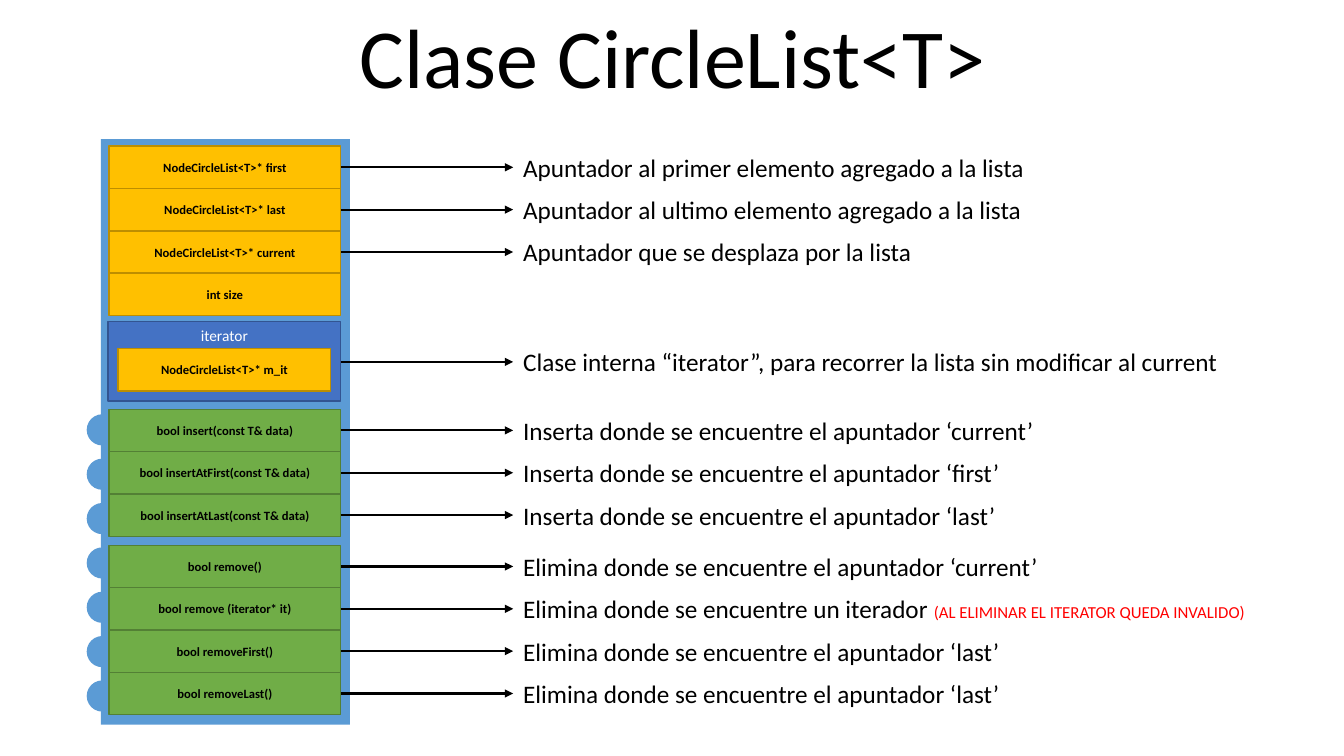
from lxml import etree
from pptx import Presentation
from pptx.dml.color import RGBColor
from pptx.enum.shapes import MSO_CONNECTOR, MSO_SHAPE
from pptx.enum.text import MSO_ANCHOR, PP_ALIGN
from pptx.oxml.ns import qn
from pptx.util import Inches, Pt

RECT, OVAL = MSO_SHAPE.RECTANGLE, MSO_SHAPE.OVAL
STRAIGHT = MSO_CONNECTOR.STRAIGHT
CENTER, LEFT, MIDDLE = PP_ALIGN.CENTER, PP_ALIGN.LEFT, MSO_ANCHOR.MIDDLE

# Content
TITLE = "Clase CircleList<T>"
FIELD, METHOD = ("FFC000", "BD8E00"), ("70AD47", "538035")
INNER_CLASS = ("4472C4", "325491")
PANEL, BLACK, WHITE, RED = "5B9BD5", "000000", "FFFFFF", "FF0000"

# Each block: top, colours, rows of (member, description, width of description, warning)
BLOCKS = [
    (1.45, FIELD, [
        ("NodeCircleList<T>* first", "Apuntador al primer elemento agregado a la lista", 5.23, ""),
        ("NodeCircleList<T>* last", "Apuntador al ultimo elemento agregado a la lista", 5.2, ""),
        ("NodeCircleList<T>* current", "Apuntador que se desplaza por la lista", 4.1, ""),
        ("int size", "", 0, ""),
    ]),
    (4.06, METHOD, [
        ("bool insert(const T& data)", "Inserta donde se encuentre el apuntador ‘current’", 5.33, ""),
        ("bool insertAtFirst(const T& data)", "Inserta donde se encuentre el apuntador ‘first’", 4.99, ""),
        ("bool insertAtLast(const T& data)", "Inserta donde se encuentre el apuntador ‘last’", 4.95, ""),
    ]),
    (5.41, METHOD, [
        ("bool remove()", "Elimina donde se encuentre el apuntador ‘current’", 5.57, ""),
        ("bool remove (iterator* it)", "Elimina donde se encuentre un iterador ", 7.38,
         "(AL ELIMINAR EL ITERATOR QUEDA INVALIDO)"),
        ("bool removeFirst()", "Elimina donde se encuentre el apuntador ‘last’", 4.99, ""),
        ("bool removeLast()", "Elimina donde se encuentre el apuntador ‘last’", 4.99, ""),
    ]),
]
ITERATOR_NAME, ITERATOR_FIELD = "iterator", "NodeCircleList<T>* m_it"
ITERATOR_NOTE = "Clase interna “iterator”, para recorrer la lista sin modificar al current"

# Layout in inches
ROW_LEFT, ROW_WIDTH, ROW_HEIGHT = 1.08, 2.3, 0.42
ARROW_START, ARROW_END = 3.38, 5.09
NOTE_HEIGHT = 0.4
KNOB_LEFT, KNOB_TOP, KNOB_SIZE, KNOB_PITCH = 0.86, 4.11, 0.31, 0.44

deck = Presentation()
deck.slide_width, deck.slide_height = Inches(13.33), Inches(7.5)
page = deck.slides.add_slide(deck.slide_layouts[6])


def color(value):
    return RGBColor.from_string(value)


def add_span(para, text, size, ink, bold=False):
    span = para.add_run()
    span.text = text
    span.font.name = "Calibri"
    span.font.size = Pt(size)
    span.font.bold = bold
    span.font.color.rgb = color(ink)


def add_block(kind, left, top, width, height, fill, line=None, text=""):
    block = page.shapes.add_shape(kind, Inches(left), Inches(top), Inches(width), Inches(height))
    block.shadow.inherit = False
    block.fill.solid()
    block.fill.fore_color.rgb = color(fill)
    if line:
        block.line.color.rgb = color(line)
        block.line.width = Pt(1)
    else:
        block.line.fill.background()
    if text:
        block.text_frame.vertical_anchor = MIDDLE
        para = block.text_frame.paragraphs[0]
        para.alignment = CENTER
        add_span(para, text, 9, BLACK, bold=True)


def add_text(left, top, width, height, spans, align=LEFT, wrap=True):
    box = page.shapes.add_textbox(Inches(left), Inches(top), Inches(width), Inches(height))
    box.text_frame.word_wrap = wrap
    para = box.text_frame.paragraphs[0]
    para.alignment = align
    for text, size, ink in spans:
        add_span(para, text, size, ink)


def add_note(middle, width, text, warning=""):
    """Arrow from the class panel to its description."""
    arrow = page.shapes.add_connector(STRAIGHT, Inches(ARROW_START), Inches(middle),
                                      Inches(ARROW_END), Inches(middle))
    arrow.line.color.rgb = color(BLACK)
    arrow.line.width = Pt(1.5)
    etree.SubElement(arrow.line._get_or_add_ln(), qn("a:tailEnd"), type="triangle")
    etree.SubElement(arrow._element.spPr, qn("a:effectLst"))
    spans = [(text, 18, BLACK)]
    if warning:
        spans.append((warning, 12, RED))
    add_text(ARROW_END, middle - NOTE_HEIGHT / 2, width, NOTE_HEIGHT, spans, wrap=False)


# Title
add_text(0.01, 0, 13.32, 1.11, [(TITLE, 60, BLACK)], align=CENTER)

# Class panel with one knob for each method
method_count = sum(len(rows) for _, colors, rows in BLOCKS if colors == METHOD)
for index in range(method_count):
    add_block(OVAL, KNOB_LEFT, KNOB_TOP + index * KNOB_PITCH, KNOB_SIZE, KNOB_SIZE, PANEL)
add_block(RECT, 1, 1.38, 2.47, 5.81, PANEL)

# Members and their descriptions
for block_top, (fill, line), rows in BLOCKS:
    for index, (member, text, width, warning) in enumerate(rows):
        top = block_top + index * ROW_HEIGHT
        add_block(RECT, ROW_LEFT, top, ROW_WIDTH, ROW_HEIGHT, fill, line, member)
        if text:
            add_note(top + ROW_HEIGHT / 2, width, text, warning)

# Inner iterator class
add_block(RECT, 1.07, 3.19, 2.31, 0.79, *INNER_CLASS)
add_text(1.07, 3.19, 2.31, 0.11, [(ITERATOR_NAME, 11, WHITE)], align=CENTER)
add_block(RECT, 1.17, 3.46, 2.11, ROW_HEIGHT, *FIELD, ITERATOR_FIELD)
add_note(3.59, 7.17, ITERATOR_NOTE)

deck.save("out.pptx")
